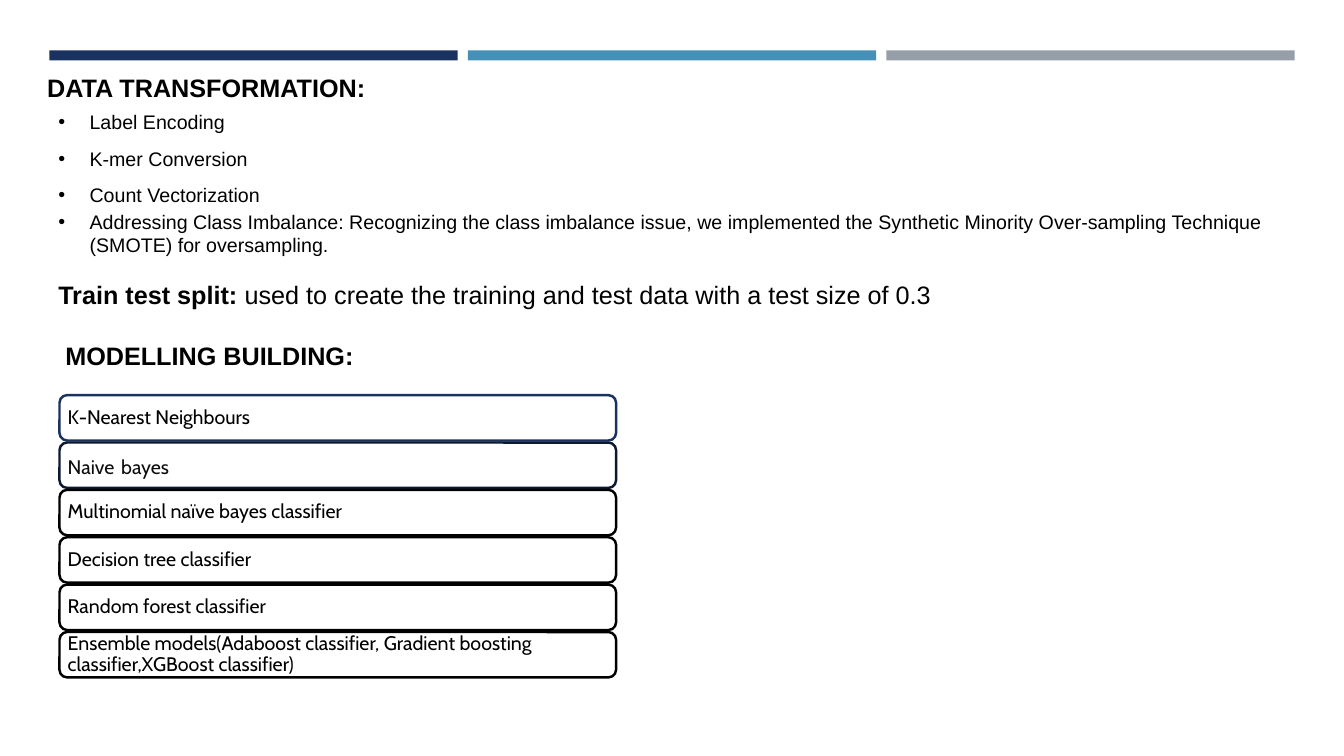
import pptx
import pptx.dml.color
import pptx.enum.shapes
import pptx.enum.text
import pptx.util
from lxml import etree
from pptx.util import Inches, Pt

SHAPES = pptx.enum.shapes.MSO_SHAPE
ALIGN = pptx.enum.text.PP_ALIGN
ANCHOR = pptx.enum.text.MSO_ANCHOR
BLACK = "000000"


def color(value):
    return pptx.dml.color.RGBColor.from_string(value)


def style_font(font, name, size, shade=BLACK):
    font.name = name
    font.size = Pt(size)
    font.color.rgb = color(shade)


def add_text_box(page, left, top, width, height):
    """Add a wrapping text box and return its text frame."""
    frame = page.shapes.add_textbox(
        Inches(left), Inches(top), Inches(width), Inches(height)).text_frame
    frame.word_wrap = True
    return frame


def add_top_bars(page, left, top, width, height):
    gap = 0.1
    fills = ["1A3260", "4590B8", "969FA7"]
    bar_width = (width - gap * (len(fills) - 1)) / len(fills)
    for index, fill in enumerate(fills):
        bar = page.shapes.add_shape(
            SHAPES.RECTANGLE, Inches(left + index * (bar_width + gap)),
            Inches(top), Inches(bar_width), Inches(height))
        bar.shadow.inherit = False
        bar.fill.solid()
        bar.fill.fore_color.rgb = color(fill)
        bar.line.fill.background()


def add_heading(page, text, left, top, width, height):
    para = add_text_box(page, left, top, width, height).paragraphs[0]
    para.text = text
    para.alignment = ALIGN.JUSTIFY
    para.line_spacing = 1.07
    para.space_after = Pt(8)
    style_font(para.font, "Arial", 18)
    para.font.bold = True


def add_bullets(page, items, left, top, width, height, line_spacing=1.0, space_after=0):
    frame = add_text_box(page, left, top, width, height)
    for index, item in enumerate(items):
        para = frame.add_paragraph() if index else frame.paragraphs[0]
        para.text = item
        para.line_spacing = line_spacing
        para.space_after = Pt(space_after)
        style_font(para.font, "Arial", 14)
        properties = para._p.get_or_add_pPr()
        properties.set("marL", str(Inches(0.31)))
        properties.set("indent", str(Inches(-0.31)))
        namespace = properties.nsmap["a"]
        bullet_font = etree.SubElement(properties, f"{{{namespace}}}buFont")
        bullet_font.set("typeface", "Arial")
        bullet = etree.SubElement(properties, f"{{{namespace}}}buChar")
        bullet.set("char", "•")
        # The schema wants the default run properties after the bullet.
        properties.append(properties.find(f"{{{namespace}}}defRPr"))


def add_split_note(page, left, top, width, height):
    para = add_text_box(page, left, top, width, height).paragraphs[0]
    style_font(para.font, "Arial", 18)
    label = para.add_run()
    label.text = "Train test split: "
    label.font.bold = True
    para.add_run().text = "used to create the training and test data with a test size of 0.3"


def add_model_list(page, left, top, width, height):
    """Stack one rounded box per model; each has a line colour, text colour and sized spans."""
    models = [
        ("1A3260", BLACK, [("K-Nearest Neighbours", 14)]),
        ("0D1930", "0D0D0D", [("Naive", 14), (" ", 21), ("bayes", 14)]),
        (BLACK, BLACK, [("Multinomial naïve bayes classifier", 14)]),
        (BLACK, BLACK, [("Decision tree classifier", 14)]),
        (BLACK, BLACK, [("Random forest classifier", 14)]),
        (BLACK, BLACK, [("Ensemble models(Adaboost classifier, Gradient boosting "
                         "classifier,XGBoost classifier)", 14)]),
    ]
    gap = 0.02
    box_height = (height - gap * (len(models) - 1)) / len(models)
    for index, (outline, shade, spans) in enumerate(models):
        box = page.shapes.add_shape(
            SHAPES.ROUNDED_RECTANGLE, Inches(left),
            Inches(top + index * (box_height + gap)), Inches(width), Inches(box_height))
        box.shadow.inherit = False
        box.fill.background()
        box.line.color.rgb = color(outline)
        box.line.width = Pt(1.75)
        frame = box.text_frame
        frame.word_wrap = True
        frame.vertical_anchor = ANCHOR.MIDDLE
        frame.margin_left = frame.margin_right = Inches(0.06)
        frame.margin_top = frame.margin_bottom = Inches(0.03)
        para = frame.paragraphs[0]
        para.alignment = ALIGN.LEFT
        para.line_spacing = 0.9
        for text, size in spans:
            span = para.add_run()
            span.text = text
            style_font(span.font, "Cabin", size, shade)


def build_slide(deck):
    page = deck.slides.add_slide(deck.slide_layouts[6])
    add_top_bars(page, 0.49, 0.5, 12.35, 0.1)
    add_heading(page, "DATA TRANSFORMATION:", 0.37, 0.65, 3.44, 0.41)
    add_bullets(page, ["Label Encoding", "K-mer Conversion", "Count Vectorization"],
                0.48, 1.03, 6.67, 1.07, line_spacing=1.07, space_after=8)
    add_bullets(page, ["Addressing Class Imbalance: Recognizing the class imbalance issue, "
                       "we implemented the Synthetic Minority Over-sampling Technique "
                       "(SMOTE) for oversampling."], 0.48, 2.03, 12.35, 0.57)
    add_split_note(page, 0.48, 2.72, 11, 0.71)
    add_heading(page, "MODELLING BUILDING:", 0.55, 3.31, 6.67, 0.41)
    add_model_list(page, 0.59, 3.92, 5.52, 2.8)


def main():
    deck = pptx.Presentation()
    deck.slide_width = Inches(13.33)
    deck.slide_height = Inches(7.5)
    build_slide(deck)
    deck.save("out.pptx")


if __name__ == "__main__":
    main()
